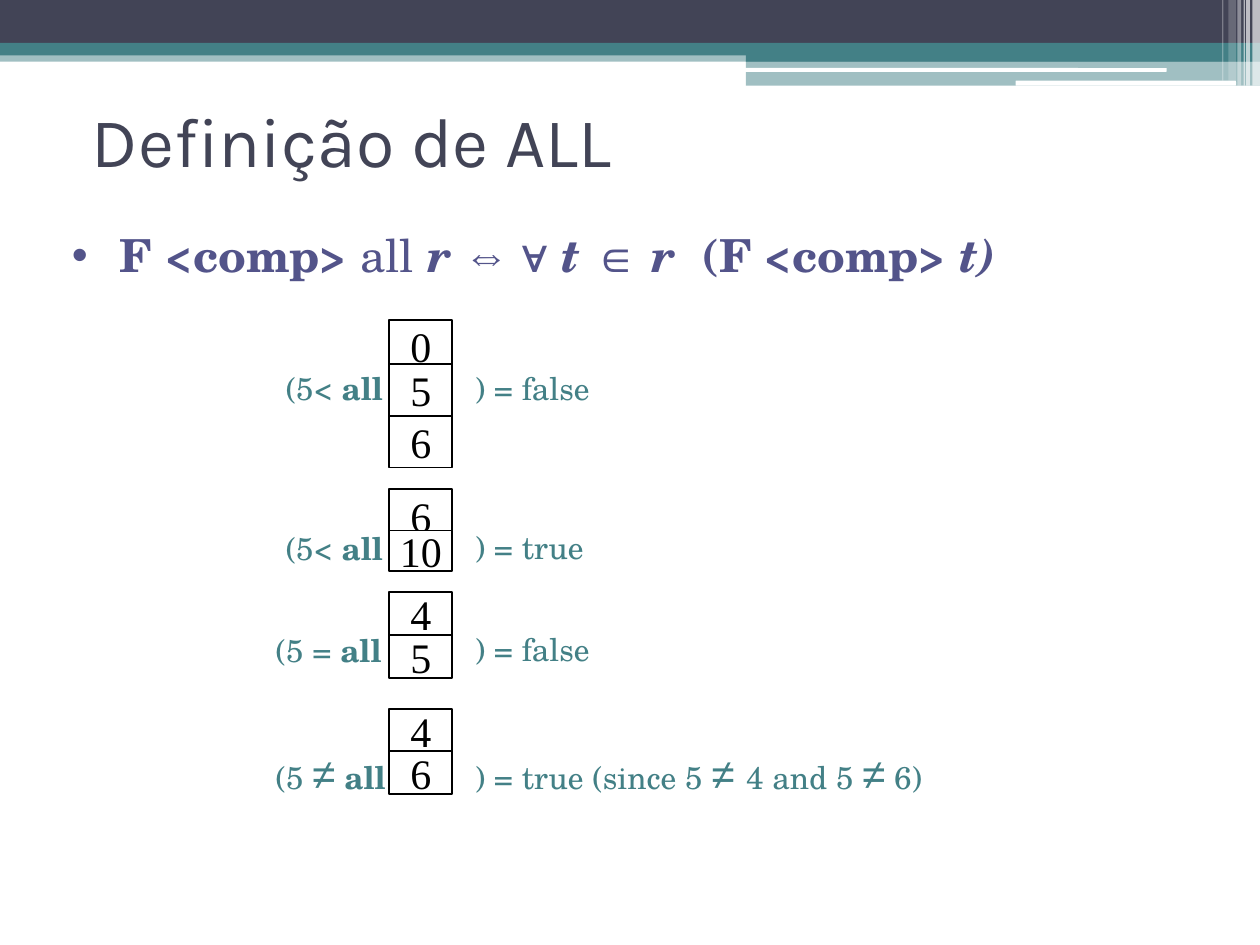
from dataclasses import dataclass

from lxml import etree
from pptx import Presentation
from pptx.dml.color import RGBColor
from pptx.enum.shapes import MSO_SHAPE
from pptx.enum.text import MSO_ANCHOR, MSO_AUTO_SIZE, PP_ALIGN
from pptx.oxml.ns import qn
from pptx.util import Inches, Pt

RECT = MSO_SHAPE.RECTANGLE
ROUNDED = MSO_SHAPE.ROUNDED_RECTANGLE
MIDDLE, BOTTOM, TOP = MSO_ANCHOR.MIDDLE, MSO_ANCHOR.BOTTOM, MSO_ANCHOR.TOP
LEFT, CENTER = PP_ALIGN.LEFT, PP_ALIGN.CENTER
NO_FIT, GROW = MSO_AUTO_SIZE.NONE, MSO_AUTO_SIZE.SHAPE_TO_FIT_TEXT


@dataclass(frozen=True)
class Theme:
    slate: str = "424456"
    teal: str = "438086"
    violet: str = "53548A"
    white: str = "FFFFFF"
    black: str = "000000"
    heading: str = "Karla"
    serif: str = "TeX Gyre Schola"
    symbol: str = "Arial"
    digit: str = "Times New Roman"
    title_size: int = 40
    formula_size: int = 26
    value_size: int = 24
    label_size: int = 18


THEME = Theme()
CELL_LEFT, CELL_WIDTH = 3.09, 0.5
RESULT_LEFT = 3.67

BANDS = [
    (RECT, 0, 0.4, 10, 0.09, THEME.teal, 50),
    (RECT, 0, 0, 10, 0.34, THEME.slate, 100),
    (RECT, 0, 0.34, 10, 0.1, THEME.teal, 100),
    (RECT, 5.92, 0.39, 4.08, 0.1, THEME.teal, 100),
    (RECT, 5.92, 0.48, 4.08, 0.2, THEME.teal, 50),
    (ROUNDED, 5.91, 0.54, 3.35, 0.03, THEME.white, 100),
    (ROUNDED, 8.06, 0.64, 1.75, 0.04, THEME.white, 100),
]
STRIPES = [
    (9.94, 0.06, 0.68, 65),
    (9.89, 0.03, 0.68, 65),
    (9.87, 0.01, 0.68, 60),
    (9.82, 0.03, 0.68, 40),
    (9.75, 0.06, 0.64, 20),
    (9.7, 0.01, 0.64, 30),
]
FORMULA = [
    ("F <comp> ", "b"), ("all ", ""), ("r ", "bi"), ("⇔ ∀ ", "bs"),
    ("t ", "bi"), ("∈ ", "bs"), ("r ", "bi"), (" (F <comp> ", "b"), ("t)", "bi"),
]
LESS_THAN_ALL = [("(5< ", ""), ("all", "b")]
IS_FALSE = [(") = false", "")]
EXAMPLES = [
    ([("0", 2.54, 0.41), ("5", 2.89, 0.41), ("6", 3.3, 0.41)],
     (2.17, 2.88, 1.33, LESS_THAN_ALL), (2.88, 1.33, IS_FALSE)),
    ([("6", 3.88, 0.42), ("10", 4.21, 0.32)],
     (2.17, 4.15, 1.33, LESS_THAN_ALL), (4.14, 1.33, [(") = true", "")])),
    ([("4", 4.7, 0.34), ("5", 5.04, 0.34)],
     (2.09, 4.96, 1.33, [("(5 = ", ""), ("all", "b")]), (4.95, 1.33, IS_FALSE)),
    ([("4", 5.63, 0.34), ("6", 5.96, 0.34)],
     (2.09, 5.88, 1.83, [("(5 ", ""), ("≠", "s"), (" ", ""), ("all", "b")]),
     (5.88, 5, [(") = true (since 5 ", ""), ("≠ ", "s"), ("4 and 5 ", ""),
                ("≠", "s"), (" 6)", "")])),
]


def place(shape, left, top, width, height):
    shape.left, shape.top = Inches(left), Inches(top)
    shape.width, shape.height = Inches(width), Inches(height)


def set_font(run, face, size, color):
    run.font.name = face
    run.font.size = Pt(size)
    run.font.color.rgb = RGBColor.from_string(color)


def write_runs(paragraph, pieces, size, symbol_size, color):
    for words, style in pieces:
        run = paragraph.add_run()
        run.text = words
        symbol = "s" in style
        set_font(run, THEME.symbol if symbol else THEME.serif,
                 symbol_size if symbol else size, color)
        run.font.bold = "b" in style
        run.font.italic = "i" in style


def add_block(slide, kind, left, top, width, height, color, opacity=100):
    block = slide.shapes.add_shape(
        kind, Inches(left), Inches(top), Inches(width), Inches(height))
    block.shadow.inherit = False
    block.fill.solid()
    block.fill.fore_color.rgb = RGBColor.from_string(color)
    block.line.fill.background()
    if opacity < 100:
        tint = block._element.spPr.find(qn("a:solidFill"))[0]
        etree.SubElement(tint, qn("a:alpha"), val=str(opacity * 1000))
    return block


def add_header(slide):
    for band in BANDS:
        add_block(slide, *band)
    for left, width, height, opacity in STRIPES:
        add_block(slide, RECT, left, 0, width, height, THEME.white, opacity)


def fill_title(title):
    place(title, 0.63, 0.82, 8.83, 0.67)
    frame = title.text_frame
    frame.text = "Definição de ALL"
    frame.auto_size = NO_FIT
    frame.vertical_anchor = BOTTOM
    heading = frame.paragraphs[0]
    heading.alignment = LEFT
    set_font(heading.runs[0], THEME.heading, THEME.title_size, THEME.slate)


def fill_formula(body):
    place(body, 0.47, 1.8, 8.82, 0.42)
    frame = body.text_frame
    frame.auto_size = NO_FIT
    frame.vertical_anchor = TOP
    formula = frame.paragraphs[0]
    formula.line_spacing = 0.9
    formula.space_before = Pt(6.5)
    write_runs(formula, FORMULA, THEME.formula_size, THEME.formula_size, THEME.violet)
    properties = formula._p.get_or_add_pPr()
    properties.set("marL", str(Inches(0.38)))
    properties.set("indent", str(Inches(-0.38)))
    bullet_color = etree.SubElement(properties, qn("a:buClr"))
    etree.SubElement(bullet_color, qn("a:srgbClr"), val=THEME.violet)
    etree.SubElement(properties, qn("a:buChar"), char="•")


def add_cell(slide, value, top, height):
    cell = add_block(slide, RECT, CELL_LEFT, top, CELL_WIDTH, height, THEME.white)
    cell.line.color.rgb = RGBColor.from_string(THEME.black)
    cell.line.width = Pt(1)
    frame = cell.text_frame
    frame.text = value
    frame.word_wrap = False
    frame.vertical_anchor = MIDDLE
    number = frame.paragraphs[0]
    number.alignment = CENTER
    set_font(number.runs[0], THEME.digit, THEME.value_size, THEME.black)


def add_label(slide, left, top, width, pieces):
    has_symbol = any("s" in style for _, style in pieces)
    height = 0.5 if has_symbol else 0.4
    label = slide.shapes.add_textbox(
        Inches(left), Inches(top), Inches(width), Inches(height))
    frame = label.text_frame
    frame.word_wrap = True
    frame.auto_size = GROW
    frame.paragraphs[0].space_before = Pt(11.2)
    write_runs(frame.paragraphs[0], pieces, THEME.label_size, THEME.value_size, THEME.teal)


def main():
    deck = Presentation()
    deck.slide_width, deck.slide_height = Inches(10), Inches(7.5)
    slide = deck.slides.add_slide(deck.slide_layouts[1])
    add_header(slide)
    fill_title(slide.shapes.title)
    fill_formula(slide.placeholders[1])
    for values, comparison, result in EXAMPLES:
        for value, top, height in values:
            add_cell(slide, value, top, height)
        add_label(slide, *comparison)
        add_label(slide, RESULT_LEFT, *result)
    deck.save("out.pptx")


if __name__ == "__main__":
    main()
